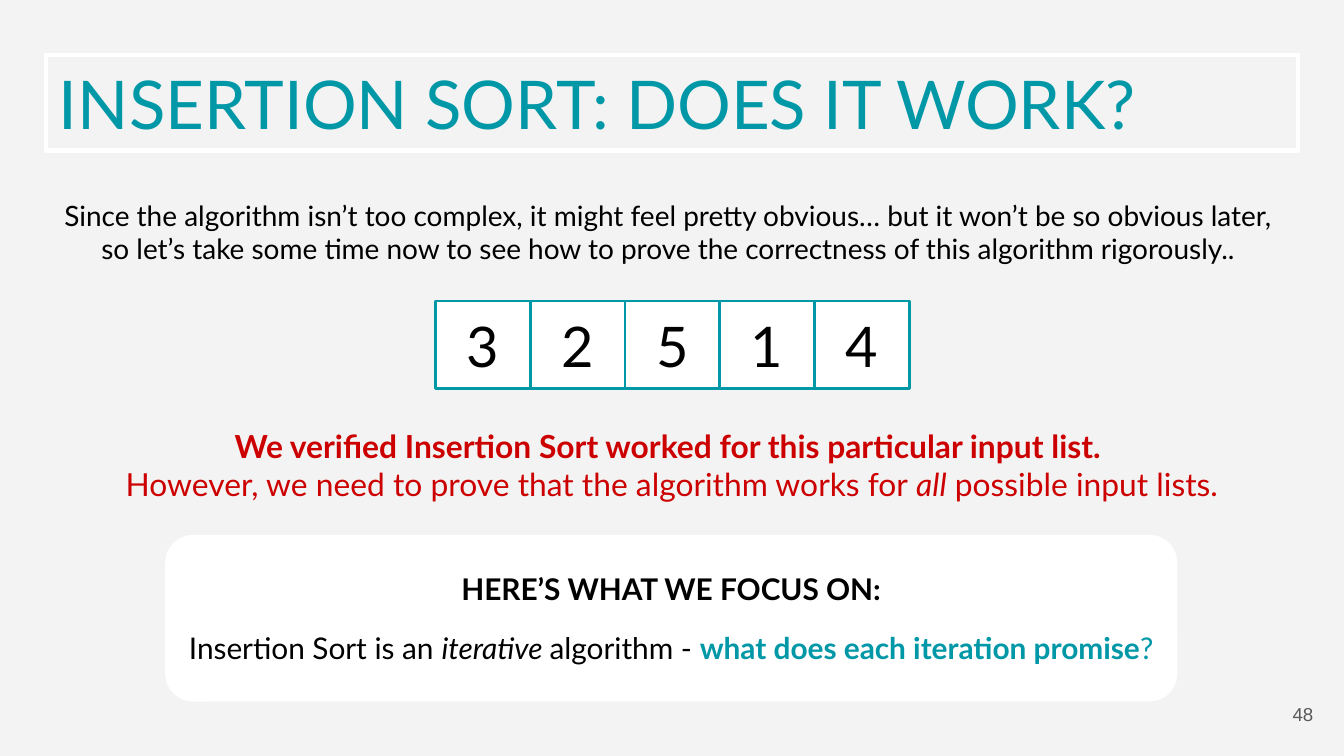
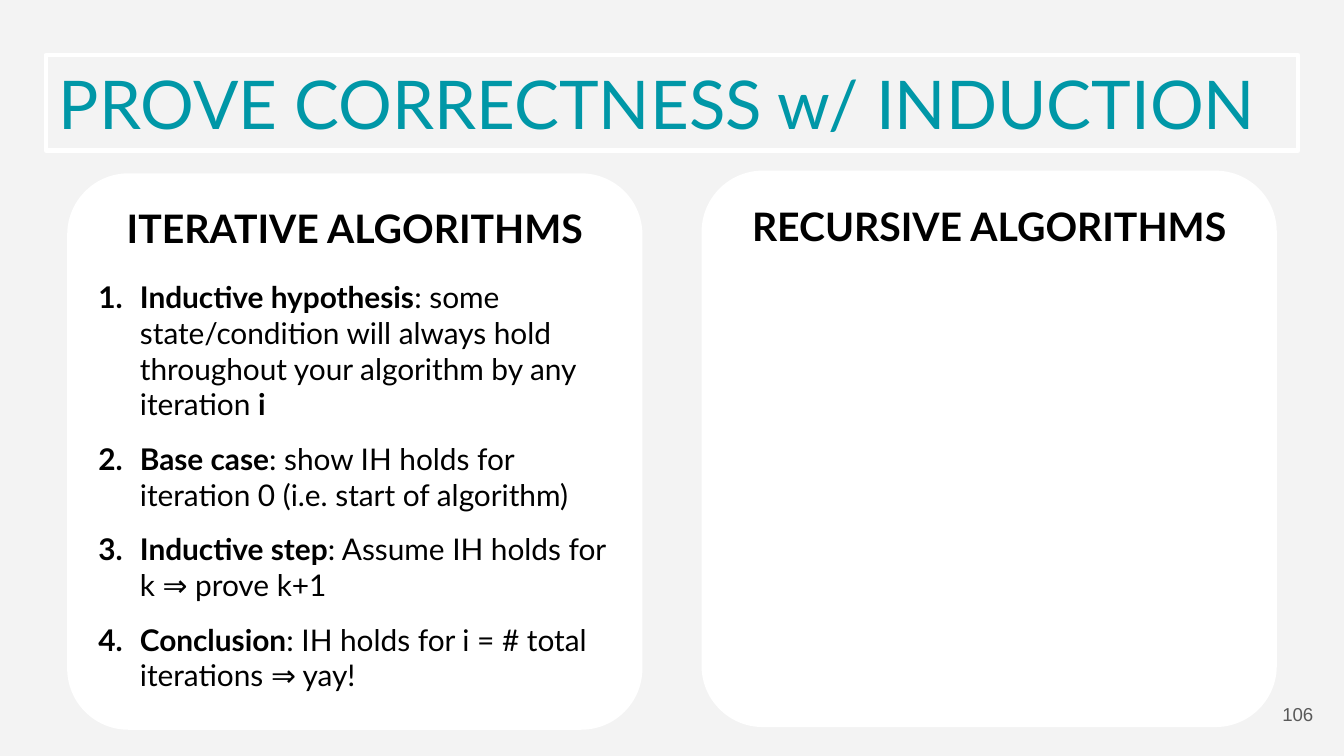
from lxml import etree
from pptx import Presentation
from pptx import util as u
from pptx.dml.color import RGBColor
from pptx.enum import shapes, text
from pptx.oxml import ns

BACKGROUND = RGBColor(0xF3, 0xF3, 0xF3)
WHITE = RGBColor(0xFF, 0xFF, 0xFF)
BLACK = RGBColor(0, 0, 0)
TEAL = RGBColor(0x00, 0x97, 0xA7)
RED = RGBColor(0xCC, 0x00, 0x00)
GRAY = RGBColor(0x59, 0x59, 0x59)

LEFT, CENTER, RIGHT = text.PP_ALIGN.LEFT, text.PP_ALIGN.CENTER, text.PP_ALIGN.RIGHT
TOP, MIDDLE = text.MSO_ANCHOR.TOP, text.MSO_ANCHOR.MIDDLE
RECTANGLE = shapes.MSO_SHAPE.RECTANGLE
ROUNDED = shapes.MSO_SHAPE.ROUNDED_RECTANGLE


def number_paragraph(paragraph):
    """Turn a paragraph into an item of a numbered list."""
    properties = paragraph._p.get_or_add_pPr()
    properties.set("marL", str(u.Inches(0.31)))
    properties.set("indent", str(u.Inches(-0.36)))
    color = etree.SubElement(properties, ns.qn("a:buClr"))
    etree.SubElement(color, ns.qn("a:srgbClr")).set("val", str(BLACK))
    etree.SubElement(properties, ns.qn("a:buAutoNum")).set("type", "arabicPeriod")


def write(paragraph, runs, size=16, color=BLACK, font="Lato", bold=False,
          align=CENTER, before=0, after=0, numbered=False):
    """Fill a paragraph; runs is a string or a list of (text, overrides)."""
    if numbered:
        number_paragraph(paragraph)
    paragraph.alignment = align
    paragraph.space_before, paragraph.space_after = u.Pt(before), u.Pt(after)
    if isinstance(runs, str):
        runs = [(runs, {})]
    for words, overrides in runs:
        first, *others = words.split("\n")
        for index, line in enumerate([first, *others]):
            if index:
                paragraph.add_line_break()
            run = paragraph.add_run()
            run.text = line
            run.font.name, run.font.size = font, u.Pt(size)
            run.font.bold = overrides.get("bold", bold)
            run.font.italic = overrides.get("italic", False)
            run.font.color.rgb = overrides.get("color", color)


class Deck:
    def __init__(self):
        self.presentation = Presentation()
        self.presentation.slide_width = u.Inches(10)
        self.presentation.slide_height = u.Inches(5.625)
        self.slide = None

    def add_slide(self, title):
        self.slide = self.presentation.slides.add_slide(self.presentation.slide_layouts[6])
        self.slide.background.fill.solid()
        self.slide.background.fill.fore_color.rgb = BACKGROUND
        self.box(0.34, 0.41, 9.32, 0.71, [dict(runs=title, size=36, color=TEAL, align=LEFT)],
                 fill=None, line=WHITE, line_width=2.25)

    def fill_text(self, shape, paragraphs, anchor):
        frame = shape.text_frame
        frame.word_wrap = True
        frame.vertical_anchor = anchor
        frame.margin_left = frame.margin_right = u.Inches(0.1)
        frame.margin_top = frame.margin_bottom = u.Inches(0.1)
        for index, content in enumerate(paragraphs):
            write(frame.add_paragraph() if index else frame.paragraphs[0], **content)

    def box(self, left, top, width, height, paragraphs, kind=RECTANGLE, fill=WHITE,
            line=None, line_width=1.5, corner=None, anchor=MIDDLE):
        shape = self.slide.shapes.add_shape(
            kind, u.Inches(left), u.Inches(top), u.Inches(width), u.Inches(height))
        shape.shadow.inherit = False
        if fill is None:
            shape.fill.background()
        else:
            shape.fill.solid()
            shape.fill.fore_color.rgb = fill
        if line is None:
            shape.line.fill.background()
        else:
            shape.line.color.rgb = line
            shape.line.width = u.Pt(line_width)
        if corner is not None:
            shape.adjustments[0] = corner
        self.fill_text(shape, paragraphs, anchor)

    def label(self, left, top, width, height, paragraphs):
        shape = self.slide.shapes.add_textbox(
            u.Inches(left), u.Inches(top), u.Inches(width), u.Inches(height))
        self.fill_text(shape, paragraphs, MIDDLE)

    def page_number(self, number):
        self.label(9.27, 5.1, 0.6, 0.43,
                   [dict(runs=str(number), size=10, color=GRAY, font="Arial", align=RIGHT)])

    def number_row(self, values, left, top, width, height):
        for index, value in enumerate(values):
            self.box(left + index * width, top, width, height,
                     [dict(runs=str(value), size=30)], line=TEAL)

    def algorithm_card(self, left, top, heading, steps=()):
        paragraphs = [dict(runs=heading, size=21, bold=True)]
        for index, step in enumerate(steps):
            paragraphs.append(dict(
                runs=step, align=LEFT, numbered=True, before=10 if index else 14.4,
                after=10 if index == len(steps) - 1 else 0))
        self.box(left, top, 4.28, 4.14, paragraphs, kind=ROUNDED, corner=0.11, anchor=TOP)


def main():
    deck = Deck()
    strong, slanted = dict(bold=True), dict(italic=True)

    # Does insertion sort work?
    deck.add_slide("INSERTION SORT: DOES IT WORK?")
    deck.label(0.48, 3.13, 9.04, 0.65, [
        dict(runs="We verified Insertion Sort worked for this particular input list. ",
             size=17, color=RED, bold=True),
        dict(runs=[("However, we need to prove that the algorithm works for ", {}),
                   ("all", slanted), (" possible input lists.", {})], size=17, color=RED),
    ])
    deck.number_row([3, 2, 5, 1, 4], 3.24, 2.24, 0.705, 0.65)
    deck.box(1.23, 3.98, 7.53, 1.24, [
        dict(runs="HERE’S WHAT WE FOCUS ON:", bold=True),
        dict(runs=[("Insertion Sort is an ", {}), ("iterative ", slanted),
                   ("algorithm - ", {}),
                   ("what does each iteration promise", dict(color=TEAL, bold=True)),
                   ("?", dict(color=TEAL))], before=12),
    ], kind=ROUNDED, corner=0.167)
    deck.label(0.34, 1.37, 9.32, 0.71, [dict(
        runs="Since the algorithm isn’t too complex, it might feel pretty obvious… "
             "but it won’t be so obvious later, \n"
             "so let’s take some time now to see how to prove the correctness "
             "of this algorithm rigorously.. ", size=15)])
    deck.page_number(48)

    # Induction for iterative and recursive algorithms
    deck.add_slide("PROVE CORRECTNESS w/ INDUCTION")
    deck.algorithm_card(0.5, 1.29, "ITERATIVE ALGORITHMS", [
        [("Inductive hypothesis", strong),
         (": some state/condition will always hold throughout your algorithm "
          "by any iteration ", {}), ("i", strong)],
        [("Base case", strong),
         (": show IH holds for iteration 0 (i.e. start of algorithm)", {})],
        [("Inductive step", strong), (": Assume IH holds for k ⇒ prove k+1", {})],
        [("Conclusion", strong), (": IH holds for i = # total iterations ⇒ yay!", {})],
    ])
    deck.page_number(106)
    deck.algorithm_card(5.22, 1.27, "RECURSIVE ALGORITHMS")

    deck.presentation.save("out.pptx")


if __name__ == "__main__":
    main()
